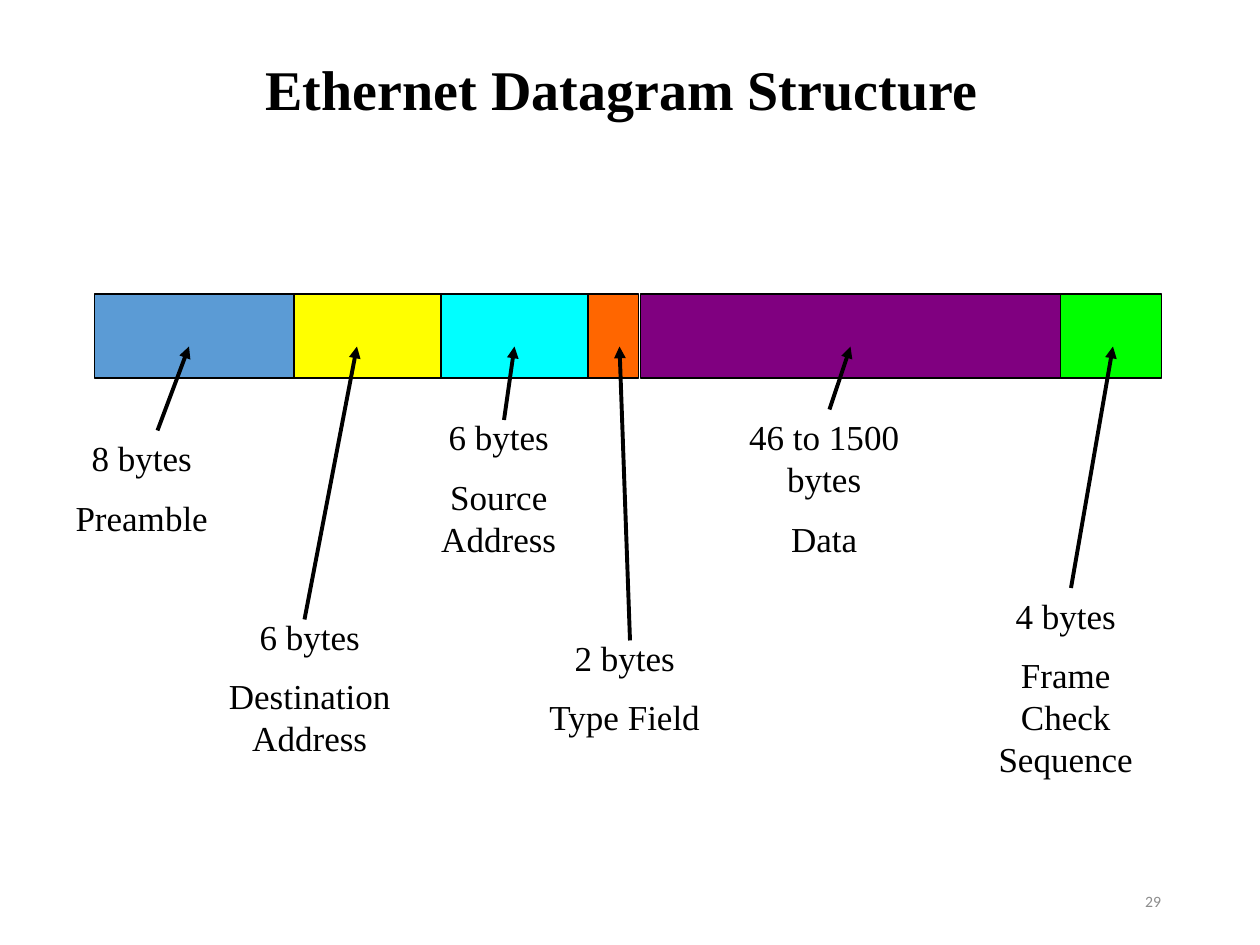
from dataclasses import dataclass

from lxml.etree import SubElement
from pptx import Presentation
from pptx.dml.color import RGBColor
from pptx.enum.shapes import MSO_CONNECTOR, MSO_SHAPE
from pptx.enum.text import MSO_ANCHOR, MSO_AUTO_SIZE, PP_ALIGN
from pptx.oxml.ns import qn
from pptx.util import Pt


@dataclass(frozen=True)
class Theme:
    ink: str = "000000"
    muted: str = "8C8C8C"
    serif: str = "Times New Roman"
    sans: str = "Calibri"
    title_size: float = 32
    label_size: float = 20
    number_size: float = 9
    outline: float = 0.75
    arrow: float = 2.25


@dataclass(frozen=True)
class Field:
    """One frame field: bar segment, label and the arrow between them."""
    size: str
    name: str
    color: str
    left: float
    width: float
    label: tuple[float, float]
    label_lines: int
    tail: tuple[float, float]
    tip_x: float


THEME = Theme()
BYTE = 14.4  # bar width of one byte
BAR_TOP, BAR_HEIGHT, TIP_Y = 168, 48, 198
LABEL_WIDTH, LINE, GAP, INSET = 114, 24, 10, 3.6

FIELDS = [
    Field("8 bytes", "Preamble", "5B9BD5", 54, 8 * BYTE, (24, 246), 2, (90, 246), 108),
    Field("6 bytes", "Destination Address", "FFFF00", 168, 6 * BYTE, (120, 348), 3, (174, 354), 204),
    Field("6 bytes", "Source Address", "00FFFF", 252, 6 * BYTE, (228, 234), 3, (288, 240), 294),
    Field("2 bytes", "Type Field", "FF6600", 336, 2 * BYTE, (300, 360), 2, (360, 366), 354),
    Field("46 to 1500 bytes", "Data", "800080", 366, 240, (414, 234), 3, (474, 234), 486),
    Field("4 bytes", "Frame Check Sequence", "00FF00", 606, 4 * BYTE, (552, 336), 4, (612, 336), 636),
]


def style(para, face: str, size: float, color: str, align: PP_ALIGN, bold: bool = False) -> None:
    para.alignment = align
    para.font.name = face
    para.font.size = Pt(size)
    para.font.bold = bold
    para.font.color.rgb = RGBColor.from_string(color)


def place(shape, left: float, top: float, width: float, height: float) -> None:
    shape.left, shape.top, shape.width, shape.height = map(Pt, (left, top, width, height))


def add_title(page, text: str) -> None:
    title = page.shapes.title
    place(title, 45, 37.5, 620.5, 30)
    frame = title.text_frame
    frame.text = text
    frame.vertical_anchor = MSO_ANCHOR.MIDDLE
    frame.auto_size = MSO_AUTO_SIZE.NONE
    para = frame.paragraphs[0]
    para.line_spacing = 0.9
    style(para, THEME.serif, THEME.title_size, THEME.ink, PP_ALIGN.CENTER, bold=True)


def add_segment(bar, field: Field) -> None:
    box = bar.shapes.add_shape(MSO_SHAPE.RECTANGLE, Pt(field.left), Pt(BAR_TOP),
                               Pt(field.width), Pt(BAR_HEIGHT))
    box.shadow.inherit = False
    box.fill.solid()
    box.fill.fore_color.rgb = RGBColor.from_string(field.color)
    box.line.color.rgb = RGBColor.from_string(THEME.ink)
    box.line.width = Pt(THEME.outline)


def add_label(page, field: Field) -> None:
    height = field.label_lines * LINE + GAP + 2 * INSET
    box = page.shapes.add_textbox(*map(Pt, (*field.label, LABEL_WIDTH, height)))
    frame = box.text_frame
    frame.word_wrap = True
    frame.auto_size = MSO_AUTO_SIZE.SHAPE_TO_FIT_TEXT
    frame.text = f"{field.size}\n{field.name}"
    for para in frame.paragraphs:
        style(para, THEME.serif, THEME.label_size, THEME.ink, PP_ALIGN.CENTER)
        para.line_spacing = Pt(LINE)
    frame.paragraphs[1].space_before = Pt(GAP)


def add_arrow(page, field: Field) -> None:
    arrow = page.shapes.add_connector(MSO_CONNECTOR.STRAIGHT,
                                      *map(Pt, (*field.tail, field.tip_x, TIP_Y)))
    arrow.line.color.rgb = RGBColor.from_string(THEME.ink)
    arrow.line.width = Pt(THEME.arrow)
    SubElement(arrow.line._get_or_add_ln(), qn("a:tailEnd"), type="triangle")
    SubElement(arrow._element.spPr, qn("a:effectLst"))


def add_page_number(page, number: str) -> None:
    box = page.shapes.add_textbox(Pt(508.5), Pt(500.5), Pt(162), Pt(28.75))
    frame = box.text_frame
    frame.word_wrap = True
    frame.vertical_anchor = MSO_ANCHOR.MIDDLE
    frame.text = number
    style(frame.paragraphs[0], THEME.sans, THEME.number_size, THEME.muted, PP_ALIGN.RIGHT)


def main() -> None:
    deck = Presentation()
    deck.slide_width, deck.slide_height = Pt(720), Pt(540)
    page = deck.slides.add_slide(deck.slide_layouts[5])  # Title Only
    add_title(page, "Ethernet Datagram Structure")
    add_page_number(page, "29")

    # Frame bar
    bar = page.shapes.add_group_shape()
    for field in FIELDS:
        add_segment(bar, field)

    # Labels, then arrows on top
    for field in FIELDS:
        add_label(page, field)
    for field in FIELDS:
        add_arrow(page, field)

    deck.save("out.pptx")


if __name__ == "__main__":
    main()
